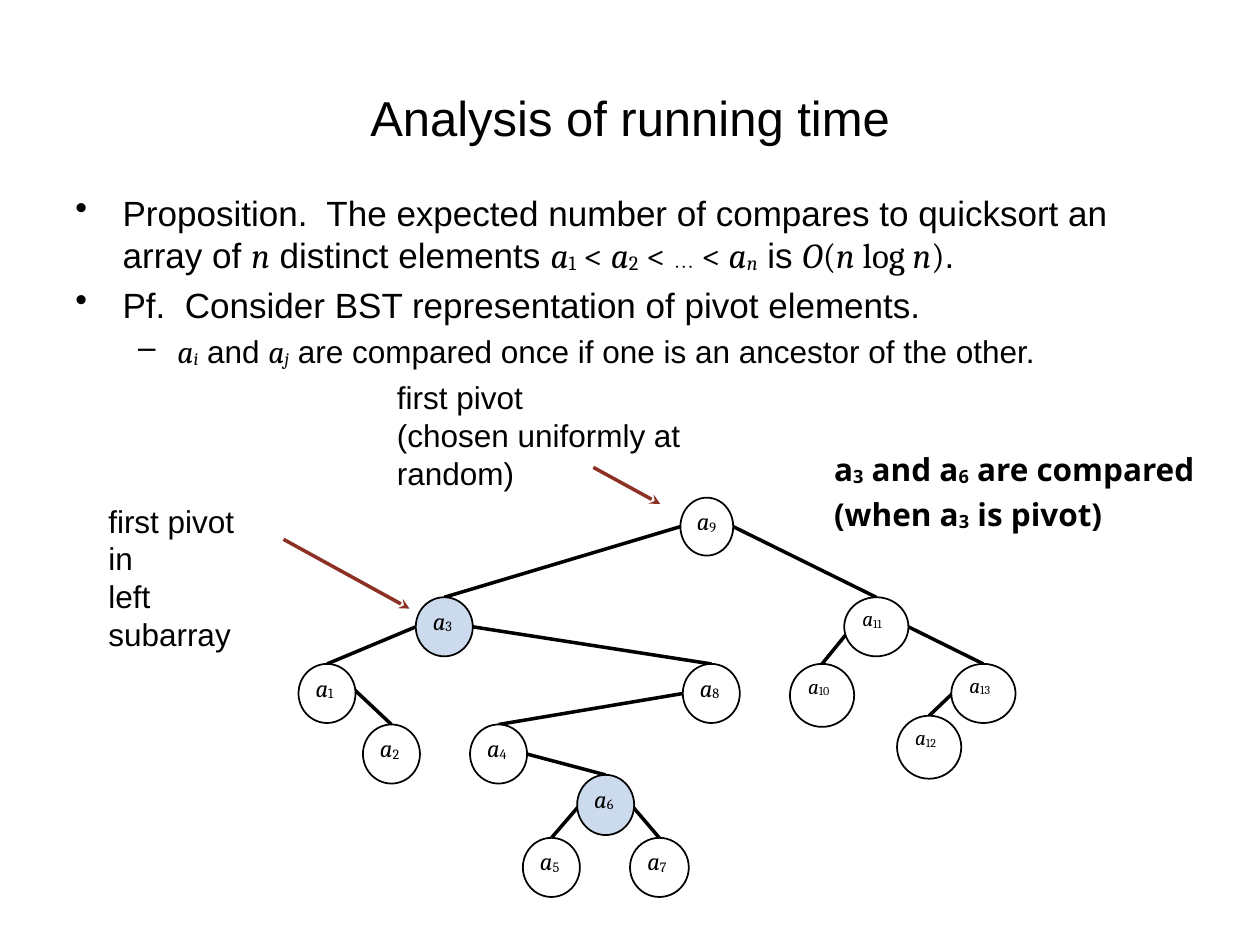
"""Build a slide on the running time of quicksort with its pivot tree."""
from dataclasses import dataclass

from lxml.etree import SubElement as Sub
from pptx import Presentation
from pptx.dml.color import RGBColor as Rgb
from pptx.enum.shapes import MSO_CONNECTOR as Link, MSO_SHAPE as Shape
from pptx.enum.text import MSO_ANCHOR as Anchor, PP_ALIGN as Align
from pptx.oxml.ns import qn
from pptx.util import Pt


@dataclass(frozen=True)
class Theme:
    ink: Rgb = Rgb(0, 0, 0)
    paper: Rgb = Rgb(255, 255, 255)
    tint: Rgb = Rgb(0xCC, 0xDA, 0xEE)
    rust: Rgb = Rgb(0x8D, 0x31, 0x24)
    sans: str = "Arial"
    math: str = "Cambria"
    bold: str = "Open Sans"
    title: int = 28
    body: int = 20
    label: int = 18
    node: int = 14
    small: int = 12


THEME = Theme()

# style: font, italic, baseline shift in percent
STYLES = {
    "text": (THEME.sans, False, 0),
    "math": (THEME.math, False, 0),
    "var": (THEME.math, True, 0),
    "sub": (THEME.math, False, -6),
    "varsub": (THEME.math, True, -6),
    "dots": (THEME.math, True, -12),
    "bold": (THEME.bold, False, 0),
    "boldsub": (THEME.bold, False, -6),
}

CLAIM = [
    ("Proposition.  The expected number of compares to quicksort an array of ", "text"),
    ("n", "var"), (" distinct elements ", "text"),
    ("a", "var"), ("1", "sub"), (" < ", "math"),
    ("a", "var"), ("2", "sub"), (" < ", "math"),
    ("⋯", "dots"), (" < ", "math"),
    ("a", "var"), ("n", "varsub"), (" is ", "text"),
    ("O", "var"), ("(", "math"), ("n", "var"), (" log ", "math"),
    ("n", "var"), (")", "math"), (".", "text"),
]
PROOF = [("Pf.  Consider BST representation of pivot elements.", "text")]
RULE = [
    ("a", "var"), ("i", "varsub"), (" and ", "text"), ("a", "var"), ("j", "varsub"),
    (" are compared once if one is an ancestor of the other.", "text"),
]
# runs, size, bullet, left margin, hanging indent, space before
POINTS = [
    (CLAIM, THEME.body, "•", 27, 27, 0),
    (PROOF, THEME.body, "•", 27, 27, 4),
    (RULE, THEME.label, "–", 58.3, 22.5, 3.6),
]
NOTE = [
    [("a", "bold"), ("3", "boldsub"), (" and a", "bold"), ("6", "boldsub"),
     (" are compared", "bold")],
    [("(when a", "bold"), ("3", "boldsub"), (" is pivot)", "bold")],
]

# number: left, top, width, height
NODES = {
    9: (388.8, 284.4, 30.2, 33.1),
    11: (482.4, 341.3, 36.7, 33.8),
    3: (237.6, 341.3, 32.6, 33.8),
    8: (390.2, 379.4, 32.6, 33.8),
    10: (451.4, 379.4, 36.7, 36),
    13: (543.6, 379.4, 36.7, 33.8),
    12: (512.6, 409, 36.7, 36),
    6: (329.8, 442.8, 32.6, 34.4),
    7: (360, 478.8, 33.6, 33.8),
    5: (298.8, 478.8, 32.6, 33.8),
    4: (268.6, 414, 32.6, 33.8),
    1: (170.6, 379.4, 32.6, 33.8),
    2: (207.4, 414, 32.6, 33.8),
}
PAIRED = {3, 6}
WIDE = [(9, 3), (9, 11), (11, 13), (3, 1), (3, 8), (8, 4), (4, 6)]
STEEP = [(11, 10), (13, 12), (6, 5), (6, 7), (1, 2)]


def add_runs(para, runs, size, bold=None):
    """Add styled runs to a paragraph."""
    for text, style in runs:
        face, slant, shift = STYLES[style]
        run = para.add_run()
        run.text = text
        font = run.font
        font.name, font.size, font.italic, font.bold = face, Pt(size), slant, bold
        font.color.rgb = THEME.ink
        if shift:
            run._r.get_or_add_rPr().set("baseline", str(shift * 1000))


def add_box(slide, area, inset=True):
    """Add a wrapping text box and return its frame."""
    frame = slide.shapes.add_textbox(*map(Pt, area)).text_frame
    frame.word_wrap = True
    if not inset:
        clear_inset(frame)
    return frame


def clear_inset(frame):
    """Set all inner margins of a frame to zero."""
    frame.margin_left = frame.margin_right = 0
    frame.margin_top = frame.margin_bottom = 0


def add_title(slide):
    """Add the centred slide title."""
    frame = add_box(slide, (36, 21.6, 648, 90))
    frame.vertical_anchor = Anchor.MIDDLE
    para = frame.paragraphs[0]
    para.alignment = Align.CENTER
    add_runs(para, [("Analysis of running time", "text")], THEME.title)


def add_points(slide):
    """Add the bulleted claim and proof."""
    frame = add_box(slide, (36, 105.8, 648, 376.6))
    for pos, (runs, size, mark, left, hang, gap) in enumerate(POINTS):
        para = frame.add_paragraph() if pos else frame.paragraphs[0]
        props = para._p.get_or_add_pPr()
        props.set("marL", str(Pt(left)))
        props.set("indent", str(-Pt(hang)))
        Sub(props, qn("a:buChar")).set("char", mark)
        para.space_before = Pt(gap)
        add_runs(para, runs, size)


def add_note(slide):
    """Add the bold remark beside the tree."""
    para = add_box(slide, (476.6, 252.7, 342, 46.8), False).paragraphs[0]
    para.line_spacing = 1.2
    for pos, runs in enumerate(NOTE):
        if pos:
            para.add_line_break()
        add_runs(para, runs, THEME.label, True)


def add_label(slide, area, lines):
    """Add a plain label with one paragraph a line."""
    frame = add_box(slide, area, False)
    frame.text = "\n".join(lines)
    for para in frame.paragraphs:
        font = para.runs[0].font
        font.name, font.size = THEME.sans, Pt(THEME.label)
        font.color.rgb = THEME.ink


def add_line(shapes, start, end, color, arrow=False):
    """Add a straight line, with an arrowhead at its end if asked."""
    line = shapes.add_connector(Link.STRAIGHT, *map(Pt, (*start, *end)))
    line.line.color.rgb = color
    line.line.width = Pt(2)
    if arrow:
        Sub(line.line._get_or_add_ln(), qn("a:tailEnd")).set("type", "stealth")
    Sub(line._element.spPr, qn("a:effectLst"))


def top_of(num):
    """Return the top centre of a node."""
    left, top, width, _ = NODES[num]
    return left + width / 2, top


def side_of(num, child):
    """Return the middle of the node side that faces a child."""
    left, top, width, height = NODES[num]
    return left + (width if child > num else 0), top + height / 2


def add_node(shapes, num):
    """Add a tree node with its numbered name."""
    node = shapes.add_shape(Shape.OVAL, *map(Pt, NODES[num]))
    node.shadow.inherit = False
    node.fill.solid()
    node.fill.fore_color.rgb = THEME.tint if num in PAIRED else THEME.paper
    node.line.color.rgb = THEME.ink
    node.line.width = Pt(1)
    frame = node.text_frame
    clear_inset(frame)
    frame.vertical_anchor = Anchor.TOP
    para = frame.paragraphs[0]
    para.alignment = Align.LEFT
    para._p.get_or_add_pPr().set("marL", str(Pt(5)))
    size = THEME.small if num > 9 else THEME.node
    add_runs(para, [("a", "var"), (str(num), "sub")], size)


def add_tree(slide):
    """Add the grouped tree, edges below nodes."""
    shapes = slide.shapes.add_group_shape().shapes
    for num, child in WIDE:
        add_line(shapes, side_of(num, child), top_of(child), THEME.ink)
    for num, child in STEEP:
        add_line(shapes, top_of(num), top_of(child), THEME.ink)
    for num in NODES:
        add_node(shapes, num)


def main():
    """Build and save the slide."""
    deck = Presentation()
    deck.slide_width, deck.slide_height = Pt(720), Pt(540)
    slide = deck.slides.add_slide(deck.slide_layouts[6])
    add_title(slide)
    add_points(slide)
    add_note(slide)
    add_label(slide, (61.9, 286.6, 89.3, 43.9), ["first pivot in", "left subarray"])
    add_label(slide, (226.8, 216, 230, 43.9),
              ["first pivot", "(chosen uniformly at random)"])
    add_line(slide.shapes, (162, 308.2), (234, 347.8), THEME.rust, True)
    add_line(slide.shapes, (339.1, 267.1), (377.3, 288), THEME.rust, True)
    add_tree(slide)
    deck.save("out.pptx")


if __name__ == "__main__":
    main()
